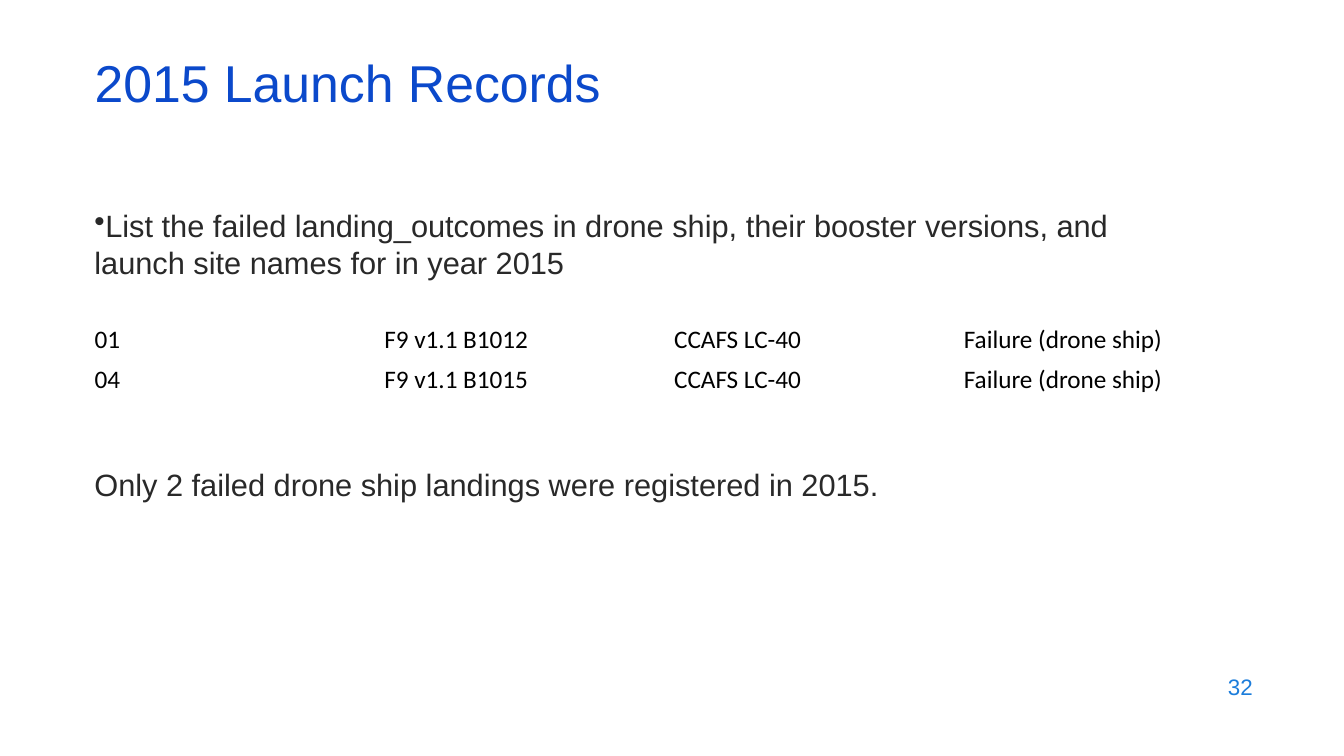
from pptx import Presentation
from pptx.dml.color import RGBColor
from pptx.enum.text import MSO_ANCHOR, PP_ALIGN
from pptx.oxml.ns import qn
from pptx.util import Cm, Pt
from lxml import etree

LEFT, RIGHT = PP_ALIGN.LEFT, PP_ALIGN.RIGHT
TOP, MIDDLE = MSO_ANCHOR.TOP, MSO_ANCHOR.MIDDLE
COLORS = {"title": "0B49CB", "body": "292929", "cell": "000000", "number": "1C7DDB"}
TITLE_ONLY = 5
EDGE = 2.13
WIDE = 29.21

LAUNCHES = [
    ["01", "F9 v1.1 B1012", "CCAFS LC-40", "Failure (drone ship)"],
    ["04", "F9 v1.1 B1015", "CCAFS LC-40", "Failure (drone ship)"],
]
TASK = ("List the failed landing_outcomes in drone ship, their booster versions, "
        "and launch site names for in year 2015")
RESULT = "Only 2 failed drone ship landings were registered in 2015."


class Deck:
    def __init__(self):
        self.prs = Presentation()
        self.prs.slide_width, self.prs.slide_height = Cm(33.87), Cm(19.05)
        self.slide = self.prs.slides.add_slide(self.prs.slide_layouts[TITLE_ONLY])

    def style(self, para, size, color, font="Arial", align=LEFT):
        para.alignment = align
        para.font.size = Pt(size)
        para.font.name = font
        para.font.color.rgb = RGBColor.from_string(COLORS[color])

    def bullet(self, para):
        props = para._p.get_or_add_pPr()
        etree.SubElement(props, qn("a:buChar")).set("char", "•")

    def title(self, text, x, y, w, h):
        shape = self.slide.shapes.title
        shape.left, shape.top, shape.width, shape.height = map(Cm, (x, y, w, h))
        frame = shape.text_frame
        frame.text = text
        frame.vertical_anchor = MIDDLE
        para = frame.paragraphs[0]
        para.line_spacing = 0.7
        self.style(para, 37, "title")

    def text(self, lines, x, y, w, h, size, color, align=LEFT, anchor=TOP, gap=0, dot=False):
        """Add a text box; gap is the space between paragraphs, dot bullets the first."""
        frame = self.slide.shapes.add_textbox(*map(Cm, (x, y, w, h))).text_frame
        frame.word_wrap = True
        frame.vertical_anchor = anchor
        for i, line in enumerate(lines):
            para = frame.add_paragraph() if i else frame.paragraphs[0]
            para.text = line
            if i:
                para.space_before = Pt(gap)
            elif dot:
                self.bullet(para)
            self.style(para, size, color, align=align)

    def table(self, rows, x, y, w, h):
        shape = self.slide.shapes.add_table(len(rows), len(rows[0]), *map(Cm, (x, y, w, h)))
        grid = shape.table
        grid.first_row = grid.horz_banding = False
        for r, row in enumerate(rows):
            for c, value in enumerate(row):
                cell = grid.cell(r, c)
                cell.text = value
                cell.fill.background()
                cell.vertical_anchor = MIDDLE
                self.style(cell.text_frame.paragraphs[0], 18, "cell", "Calibri")

    def save(self):
        self.prs.save("out.pptx")


def main():
    deck = Deck()
    deck.text(["32"], 24.2, 16.75, 7.62, 1.1, 16, "number", RIGHT, MIDDLE)
    deck.text([TASK, RESULT], EDGE, 5.08, 27.08, 12.1, 22, "body", gap=132, dot=True)
    deck.title("2015 Launch Records", EDGE, 1.5, WIDE, 1.52)
    deck.table(LAUNCHES, EDGE, 8.05, WIDE, 2.03)
    deck.save()


if __name__ == "__main__":
    main()
